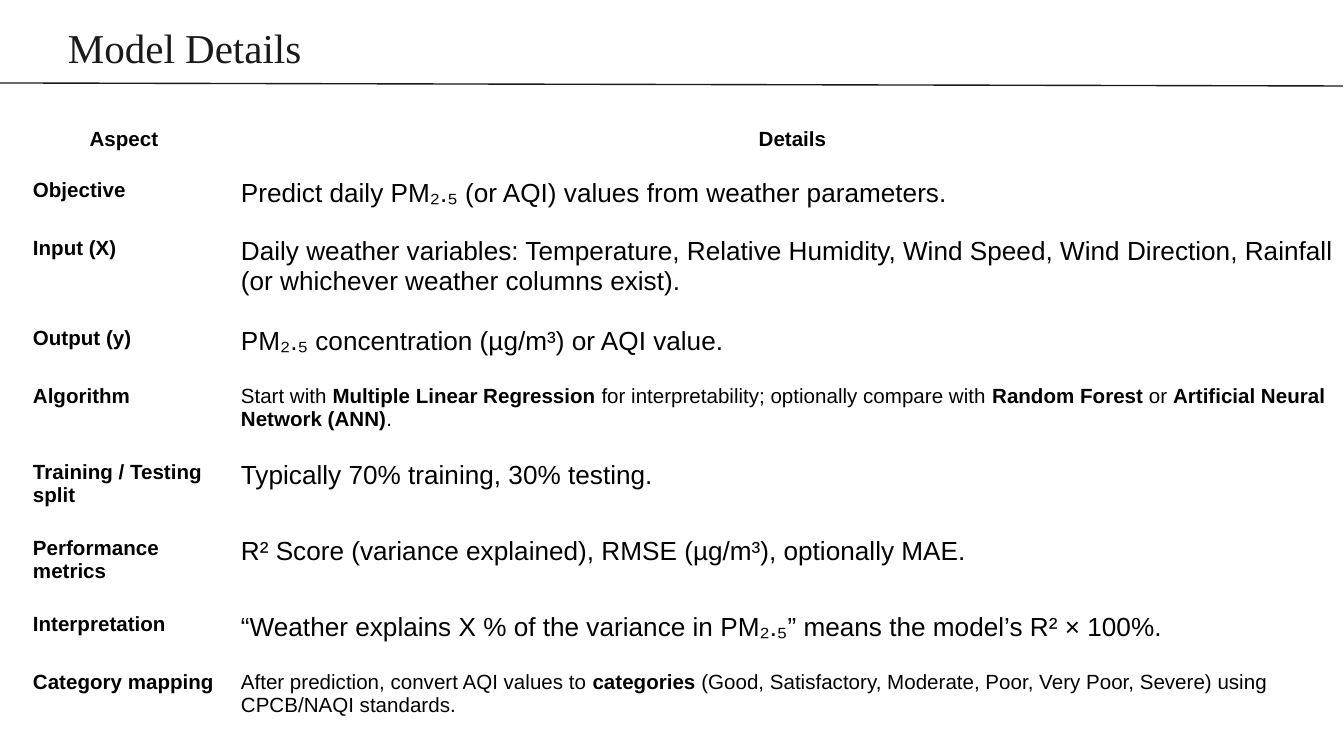
from dataclasses import dataclass

from lxml.etree import SubElement
from pptx import Presentation
from pptx.dml.color import RGBColor
from pptx.enum.shapes import MSO_CONNECTOR as Connector
from pptx.enum.text import MSO_ANCHOR as Anchor, PP_ALIGN as Align
from pptx.oxml.ns import qn
from pptx.util import Pt

TITLE = "Model Details"
HEADER = ("Aspect", "Details")
# Aspect, details (bold between ** marks), row height in px
ROWS = [
    ("Objective", "Predict daily PM₂.₅ (or AQI) values from weather parameters.", 58),
    ("Input (X)", "Daily weather variables: Temperature, Relative Humidity, Wind Speed, "
     "Wind Direction, Rainfall (or whichever weather columns exist).", 90),
    ("Output (y)", "PM₂.₅ concentration (µg/m³) or AQI value.", 58),
    ("Algorithm", "Start with **Multiple Linear Regression** for interpretability; optionally "
     "compare with **Random Forest** or **Artificial Neural Network (ANN)**.", 76),
    ("Training / Testing split", "Typically 70% training, 30% testing.", 76),
    ("Performance metrics", "R² Score (variance explained), RMSE (µg/m³), optionally MAE.", 76),
    ("Interpretation", "“Weather explains X % of the variance in PM₂.₅” means the model’s "
     "R² × 100%.", 58),
    ("Category mapping", "After prediction, convert AQI values to **categories** (Good, "
     "Satisfactory, Moderate, Poor, Very Poor, Severe) using CPCB/NAQI standards.", 76),
]
HEADER_HEIGHT = 54
COLUMN_WIDTHS = (208, 1129)
TABLE_LEFT, TABLE_TOP = 20, 112
TITLE_BOX = (55, 9, 882, 77)
RULE = (0, 83, 1343, 86)


@dataclass(frozen=True)
class Theme:
    title_font: str = "Times New Roman"
    body_font: str = "Arial"
    dark: RGBColor = RGBColor(0x1A, 0x1A, 0x1A)
    black: RGBColor = RGBColor(0, 0, 0)
    title_size: int = 22
    label_size: int = 11
    detail_size: int = 14


THEME = Theme()


def px(length):
    """Convert px, at 134.4 to the inch, to EMU."""
    return round(length * 914400 / 134.4)


def write(frame, text, size, font=THEME.body_font, color=THEME.black,
          bold=False, align=Align.LEFT, spacing=1.0):
    """Fill a one-paragraph frame; each ** mark toggles bold."""
    frame.word_wrap = True
    paragraph = frame.paragraphs[0]
    paragraph.alignment = align
    paragraph.line_spacing = spacing
    for index, part in enumerate(text.split("**")):
        run = paragraph.add_run()
        run.text = part
        run.font.name = font
        run.font.size = Pt(size)
        run.font.bold = bold or index % 2 == 1
        run.font.color.rgb = color


def set_margins(item):
    item.margin_left = item.margin_right = item.margin_top = item.margin_bottom = px(13)


def add_title(slide):
    title = slide.shapes.title
    title.left, title.top, title.width, title.height = map(px, TITLE_BOX)
    frame = title.text_frame
    set_margins(frame)
    frame.vertical_anchor = Anchor.MIDDLE
    write(frame, TITLE, THEME.title_size, font=THEME.title_font, color=THEME.dark)


def add_details_table(slide):
    heights = [HEADER_HEIGHT] + [height for _, _, height in ROWS]
    table = slide.shapes.add_table(
        len(heights), len(COLUMN_WIDTHS), px(TABLE_LEFT), px(TABLE_TOP),
        px(sum(COLUMN_WIDTHS)), px(sum(heights))).table
    table.first_row = table.horz_banding = False
    for column, width in zip(table.columns, COLUMN_WIDTHS):
        column.width = px(width)
    for row, height in zip(table.rows, heights):
        row.height = px(height)
    for cell in table.iter_cells():
        cell.fill.background()
        set_margins(cell)

    for column, text in enumerate(HEADER):
        write(table.cell(0, column).text_frame, text, THEME.label_size,
              bold=True, align=Align.CENTER, spacing=1.15)
    for index, (aspect, details, _) in enumerate(ROWS, start=1):
        write(table.cell(index, 0).text_frame, aspect, THEME.label_size, bold=True)
        # Details with bold terms use the smaller size
        size = THEME.label_size if "**" in details else THEME.detail_size
        write(table.cell(index, 1).text_frame, details, size)


def add_rule(slide):
    rule = slide.shapes.add_connector(Connector.STRAIGHT, *map(px, RULE))
    rule.line.color.rgb = THEME.dark
    rule.line.width = Pt(0.75)
    SubElement(rule._element.spPr, qn("a:effectLst"))


def main():
    presentation = Presentation()
    presentation.slide_width, presentation.slide_height = px(1344), px(756)
    slide = presentation.slides.add_slide(presentation.slide_layouts[5])
    add_title(slide)
    add_details_table(slide)
    add_rule(slide)
    presentation.save("out.pptx")


if __name__ == "__main__":
    main()
